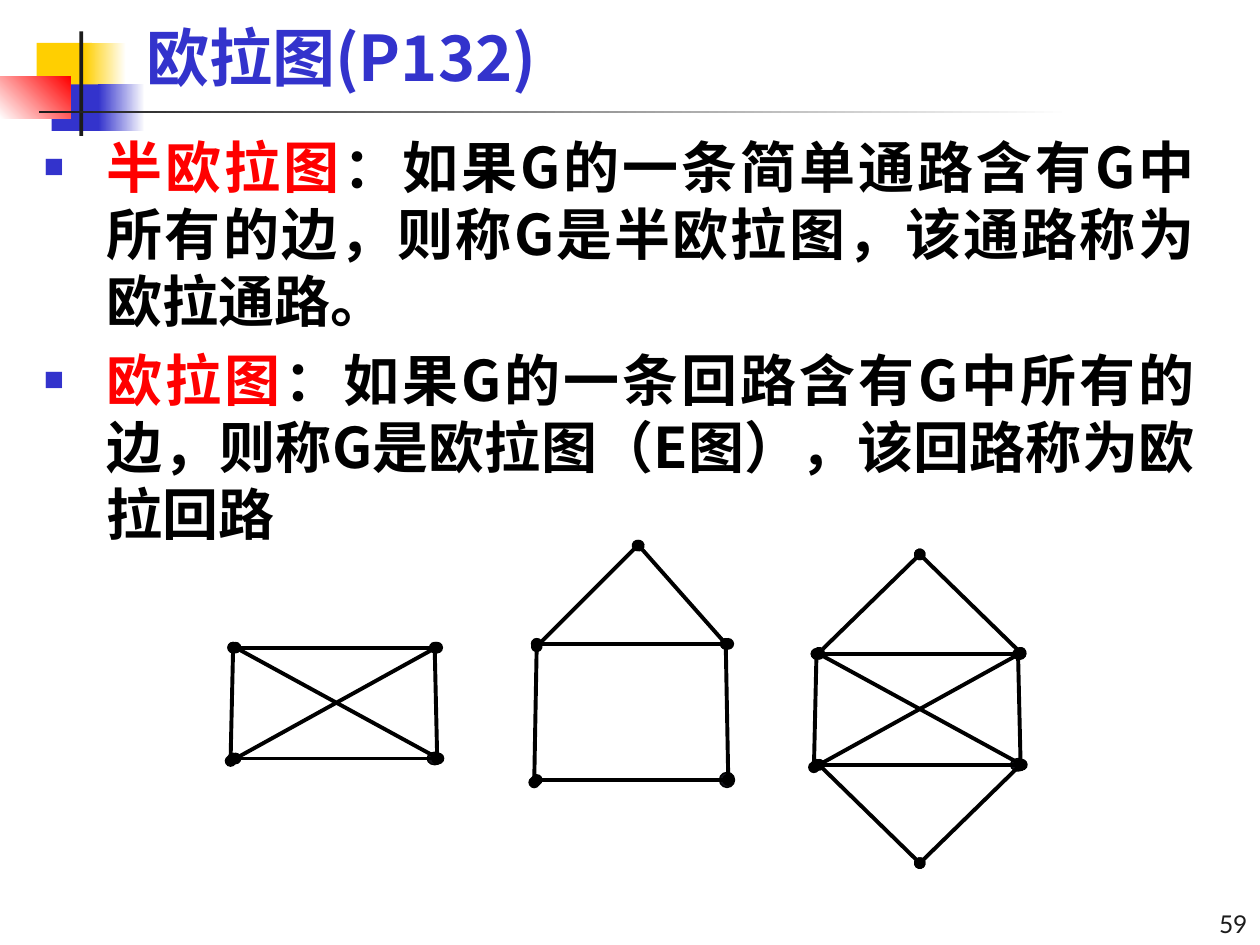
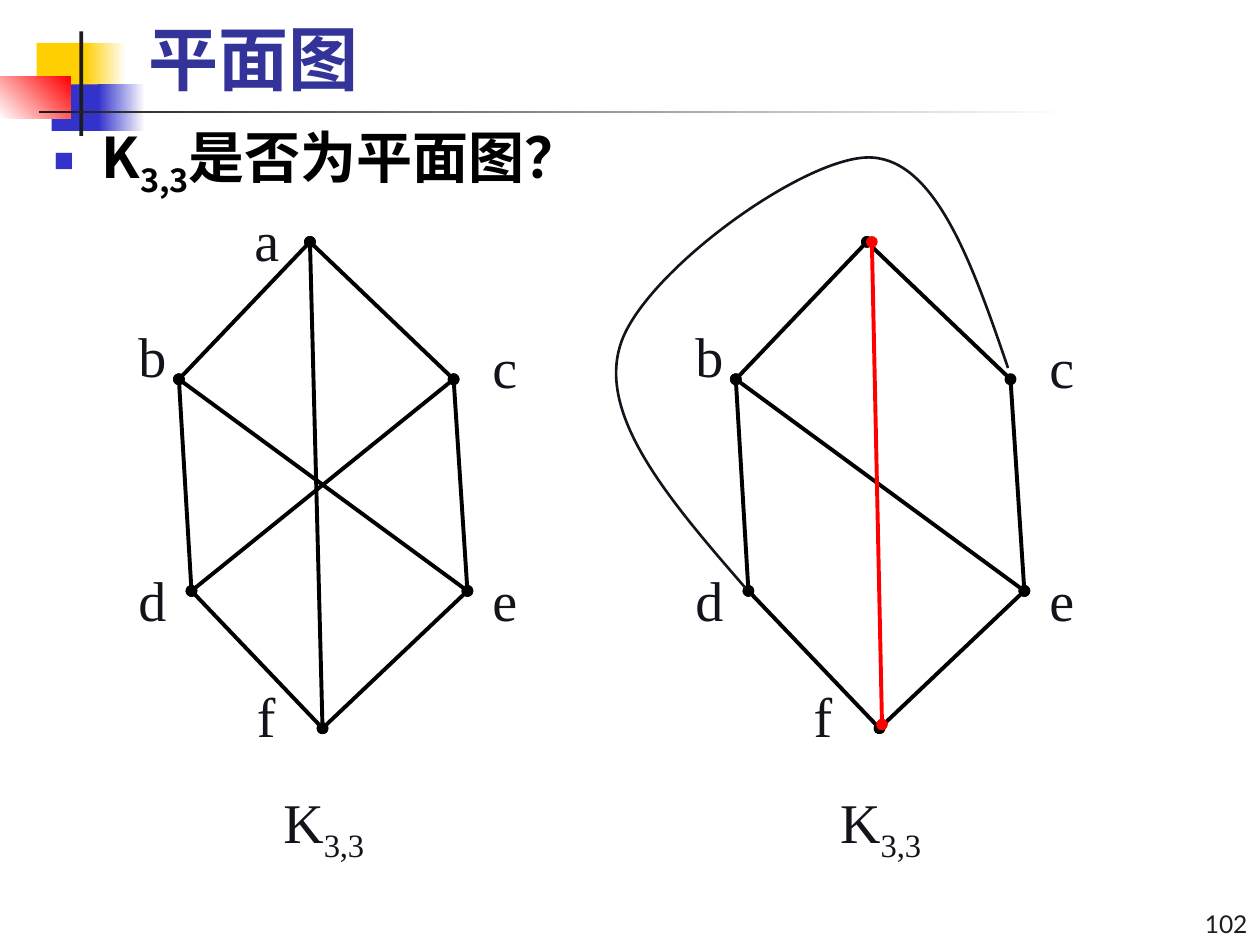
import dataclasses
import itertools
from typing import NamedTuple, Optional, Sequence

import lxml.etree
import pptx
import pptx.dml.color
import pptx.enum.lang
import pptx.enum.shapes
import pptx.enum.text
import pptx.oxml.ns
import pptx.shapes.base
import pptx.slide
import pptx.text.text
import pptx.util

qn = pptx.oxml.ns.qn
Align = pptx.enum.text.PP_ALIGN
Anchor = pptx.enum.text.MSO_ANCHOR
Fit = pptx.enum.text.MSO_AUTO_SIZE
Preset = pptx.enum.shapes.MSO_SHAPE


@dataclasses.dataclass(frozen=True)
class Theme:
    blue: str = "3333CC"
    navy: str = "333399"
    yellow: str = "FFCF01"
    red: str = "FF0000"
    white: str = "FFFFFF"
    black: str = "000000"
    charcoal: str = "1C1C1C"
    ink: str = "13131B"
    heading_font: str = "Noto Sans CJK SC"
    label_font: str = "Times New Roman"
    number_font: str = "Lato"
    text_size: float = 32
    number_size: float = 14
    edge_width: float = 2.25


THEME = Theme()

# The page is a grid of 100 columns and 75 rows
COLUMNS, ROWS = 100, 75
PAGE_WIDTH, PAGE_HEIGHT = pptx.util.Inches(10), pptx.util.Inches(7.5)


class Point(NamedTuple):
    column: float
    row: float

    def moved(self, columns: float, rows: float = 0) -> "Point":
        return Point(self.column + columns, self.row + rows)

    def emu(self) -> tuple[int, int]:
        return (round(self.column * PAGE_WIDTH / COLUMNS),
                round(self.row * PAGE_HEIGHT / ROWS))


class Area(NamedTuple):
    column: float
    row: float
    columns: float
    rows: float

    def emu(self) -> tuple[int, int, int, int]:
        return Point(*self[:2]).emu() + Point(*self[2:]).emu()

    def moved(self, columns: float) -> "Area":
        return self._replace(column=self.column + columns)


class Span(NamedTuple):
    text: str
    color: str
    size: float = THEME.text_size
    font: str = THEME.heading_font
    bold: bool = True
    subscript: bool = False


class Block(NamedTuple):
    area: Area
    color: str
    fade_to: Optional[str] = None
    angle: float = 0


class Edge(NamedTuple):
    start: Point
    end: Point


# Ornament behind every title
ORNAMENT = [
    Block(Area(2.9, 3.4, 4.4, 3.8), THEME.yellow),
    Block(Area(6.7, 3.4, 3.3, 3.8), THEME.yellow, THEME.white),
    Block(Area(4.1, 6.7, 4.2, 3.7), THEME.blue),
    Block(Area(7.8, 6.7, 3.7, 3.7), THEME.blue, THEME.white),
    Block(Area(0, 6.1, 5.6, 3.3), THEME.white, THEME.red, 45),
    Block(Area(6.3, 2.5, 0.3, 8.3), THEME.charcoal),
    Block(Area(3.1, 8.8, 81.9, 0.2), THEME.charcoal, THEME.white),
]
NUMBER_AREA = Area(86.7, 70.8, 13.3, 4.2)


def rgb(color: str) -> pptx.dml.color.RGBColor:
    return pptx.dml.color.RGBColor.from_string(color)


def add_spans(para: pptx.text.text._Paragraph, spans: Sequence[Span]) -> None:
    for item in spans:
        span = para.add_run()
        span.text = item.text
        span.font.size = pptx.util.Pt(item.size)
        span.font.bold = item.bold
        span.font.color.rgb = rgb(item.color)
        span.font.name = item.font
        properties = span._r.get_or_add_rPr()
        if item.font == THEME.heading_font:
            span.font.language_id = pptx.enum.lang.MSO_LANGUAGE_ID.SIMPLIFIED_CHINESE
            lxml.etree.SubElement(properties, qn("a:ea"), typeface=item.font)
        if item.subscript:
            properties.set("baseline", "-25000")


def add_bullet(para: pptx.text.text._Paragraph, indent: float) -> None:
    width = Point(indent, 0).emu()[0]
    properties = para._p.get_or_add_pPr()
    properties.set("marL", str(width))
    properties.set("indent", str(-width))
    color = lxml.etree.SubElement(properties, qn("a:buClr"))
    lxml.etree.SubElement(color, qn("a:srgbClr"), val=THEME.blue)
    lxml.etree.SubElement(properties, qn("a:buSzPct"), val="60000")
    lxml.etree.SubElement(properties, qn("a:buFont"), typeface=THEME.label_font)
    lxml.etree.SubElement(properties, qn("a:buChar"), char="■")


def add_text(page: pptx.slide.Slide, area: Area, paragraphs: Sequence[Sequence[Span]],
             align: Align = Align.LEFT, anchor: Anchor = Anchor.TOP,
             bullet_indent: Optional[float] = None) -> None:
    box = page.shapes.add_textbox(*area.emu())
    frame = box.text_frame
    frame.word_wrap = True
    frame.vertical_anchor = anchor
    frame.auto_size = Fit.SHAPE_TO_FIT_TEXT if anchor == Anchor.TOP else Fit.NONE
    for index, spans in enumerate(paragraphs):
        para = frame.add_paragraph() if index else frame.paragraphs[0]
        para.alignment = align
        if index:
            para.space_before = pptx.util.Pt(0.2 * THEME.text_size)
        if bullet_indent is not None:
            add_bullet(para, bullet_indent)
        add_spans(para, spans)


def add_block(page: pptx.slide.Slide, block: Block) -> None:
    shape = page.shapes.add_shape(Preset.RECTANGLE, *block.area.emu())
    shape.shadow.inherit = False
    shape.line.fill.background()
    if block.fade_to is None:
        shape.fill.solid()
        shape.fill.fore_color.rgb = rgb(block.color)
        return
    shape.fill.gradient()
    shape.fill.gradient_angle = block.angle
    for stop, color in zip(shape.fill.gradient_stops, (block.color, block.fade_to)):
        stop.color.rgb = rgb(color)


def add_edge(page: pptx.slide.Slide, edge: Edge, color: str = THEME.black) -> None:
    line = page.shapes.add_connector(pptx.enum.shapes.MSO_CONNECTOR.STRAIGHT,
                                     *edge.start.emu(), *edge.end.emu())
    line.line.color.rgb = rgb(color)
    line.line.width = pptx.util.Pt(THEME.edge_width)
    outline = line.line._get_or_add_ln()
    for tip in ("a:headEnd", "a:tailEnd"):
        lxml.etree.SubElement(outline, qn(tip), type="oval")
    lxml.etree.SubElement(line._element.spPr, qn("a:effectLst"))


def add_dot(page: pptx.slide.Slide, area: Area) -> None:
    dot = page.shapes.add_shape(Preset.OVAL, *area.emu())
    dot.shadow.inherit = False
    dot.fill.solid()
    dot.fill.fore_color.rgb = rgb(THEME.ink)
    dot.line.color.rgb = rgb(THEME.black)
    dot.line.width = pptx.util.Pt(0.75)


def add_curve(page: pptx.slide.Slide, points: Sequence[Point]) -> None:
    """Draw cubic curves: a start, then two controls and an end for each."""
    start, *others = [point.emu() for point in points]
    builder = page.shapes.build_freeform(*start)
    builder.add_line_segments(others, close=False)
    curve = builder.convert_to_shape()
    curve.shadow.inherit = False
    curve.fill.background()
    curve.line.color.rgb = rgb(THEME.ink)
    curve.line.width = pptx.util.Pt(1.5)
    # Join every three straight segments into one cubic segment
    segments = list(curve._element.iter(qn("a:lnTo")))
    for first in range(0, len(segments), 3):
        cubic, *controls = segments[first:first + 3]
        cubic.tag = qn("a:cubicBezTo")
        for control in controls:
            cubic.append(control[0])
            control.getparent().remove(control)


def add_page(deck: pptx.presentation.Presentation, title: Span, area: Area,
             number: str) -> pptx.slide.Slide:
    page = deck.slides.add_slide(deck.slide_layouts.get_by_name("Title Only"))
    for block in ORNAMENT:
        add_block(page, block)
    add_text(page, NUMBER_AREA,
             [[Span(number, THEME.charcoal, THEME.number_size, THEME.number_font, False)]],
             Align.RIGHT, Anchor.BOTTOM)
    holder = page.shapes.title
    holder.left, holder.top, holder.width, holder.height = area.emu()
    frame = holder.text_frame
    frame.word_wrap = True
    frame.auto_size = Fit.NONE
    frame.vertical_anchor = Anchor.BOTTOM
    frame.paragraphs[0].alignment = Align.LEFT
    add_spans(frame.paragraphs[0], [title])
    return page


# Euler graphs: a crossed box, a house, and a crossed box with two roofs
CROSSED_BOX = [
    Edge(Point(18.3, 60.4), Point(18.5, 51.4)),
    Edge(Point(34.7, 60.2), Point(34.5, 51.4)),
    Edge(Point(34.7, 60.2), Point(18.5, 60.2)),
    Edge(Point(18.7, 60.2), Point(34.6, 51.4)),
    Edge(Point(34.8, 60.2), Point(18.7, 51.4)),
    Edge(Point(34.7, 51.4), Point(18.5, 51.4)),
]
BOX_DOT = Area(33.9, 59.7, 1.2, 1)
HOUSE = [
    Edge(Point(42.4, 62.1), Point(42.6, 51.1)),
    Edge(Point(57.8, 61.9), Point(57.6, 51.1)),
    Edge(Point(57.8, 61.9), Point(42.6, 61.9)),
    Edge(Point(42.6, 51.3), Point(50.6, 43.3)),
    Edge(Point(57.6, 51.1), Point(50.7, 43.3)),
    Edge(Point(57.8, 51.1), Point(42.6, 51.1)),
]
HOUSE_DOT = Area(57.1, 61.3, 1.2, 1.2)
SECOND_BOX_SHIFT = (46.3, 0.5)
ROOFS = [Edge(Point(side, eaves), Point(73, peak))
         for (eaves, peak), side in itertools.product([(51.8, 44), (60.7, 68.5)], [65, 81])]


def build_euler_page(deck: pptx.presentation.Presentation) -> None:
    page = add_page(deck, Span("欧拉图(P132)", THEME.blue, 36),
                    Area(10.6, 1.3, 84.2, 6.7), "59")
    second_box = [Edge(*(point.moved(*SECOND_BOX_SHIFT) for point in edge))
                  for edge in CROSSED_BOX]
    for dot in (BOX_DOT, HOUSE_DOT, Area(80.2, 60.2, 1.2, 1)):
        add_dot(page, dot)
    for edge in CROSSED_BOX + HOUSE + second_box + ROOFS:
        add_edge(page, edge)
    definitions = [
        ("半欧拉图", "：如果G的一条简单通路含有G中所有的边，则称G是半欧拉图，该通路称为欧拉通路。"),
        ("欧拉图", "：如果G的一条回路含有G中所有的边，则称G是欧拉图（E图），该回路称为欧拉回路"),
    ]
    add_text(page, Area(2.5, 10, 93.3, 34),
             [[Span(term, THEME.red), Span(meaning, THEME.black)]
              for term, meaning in definitions],
             Align.JUSTIFY, bullet_indent=5)


# The graph K3,3: vertices, edges by vertex names, and label boxes
VERTICES = {"a": Point(24.6, 19.2), "b": Point(14.2, 30.1), "c": Point(36, 30.1),
            "d": Point(15.2, 46.9), "e": Point(37.1, 46.9), "f": Point(25.6, 57.8)}
OUTER_EDGES = "ac ab be bd ce df fe".split()
LABELS = {"a": Area(19.2, 15.8, 4.2, 6.3), "b": Area(10, 25, 5.2, 6.3),
          "c": Area(38.1, 25.9, 5.2, 6.3), "d": Area(10, 44.4, 5.2, 6.3),
          "e": Area(38.1, 44.4, 5.2, 6.3), "f": Area(19.4, 53.6, 5.2, 6.3)}
CAPTION_AREA = Area(21.5, 62, 11.5, 6.3)
REDRAWN_SHIFT = 44.2
DETOUR = [Point(80, 29.2), Point(77.2, 21), Point(74.3, 12.8), Point(69.2, 12.5),
          Point(64, 12.2), Point(50.8, 21.8), Point(49.2, 27.5),
          Point(47.5, 33.2), Point(53.3, 39.9), Point(59.2, 46.7)]


def add_k33(page: pptx.slide.Slide, edges: Sequence[str], labels: str, shift: float) -> None:
    for start, end in edges:
        add_edge(page, Edge(VERTICES[start].moved(shift), VERTICES[end].moved(shift)))
    label = Span("K", THEME.ink, font=THEME.label_font, bold=False)
    for name in labels:
        add_text(page, LABELS[name].moved(shift), [[label._replace(text=name)]])
    add_text(page, CAPTION_AREA.moved(shift),
             [[label, label._replace(text="3,3", subscript=True)]])


def build_planar_page(deck: pptx.presentation.Presentation) -> None:
    page = add_page(deck, Span("平面图", THEME.navy, 40),
                    Area(10.8, 1.7, 84.2, 6.7), "102")
    add_k33(page, OUTER_EDGES + ["dc", "af"], "abcdef", 0)
    add_k33(page, OUTER_EDGES, "bcdef", REDRAWN_SHIFT)
    add_curve(page, DETOUR)
    add_edge(page, Edge(Point(69.2, 19.2), Point(70, 57.5)), THEME.red)
    add_text(page, Area(3.3, 9.2, 93.3, 6.3),
             [[Span("K", THEME.black), Span("3,3", THEME.black, subscript=True),
               Span("是否为平面图？", THEME.black)]],
             Align.JUSTIFY, bullet_indent=3.8)


def main() -> None:
    deck = pptx.Presentation()
    deck.slide_width, deck.slide_height = PAGE_WIDTH, PAGE_HEIGHT
    build_euler_page(deck)
    build_planar_page(deck)
    deck.save("out.pptx")


if __name__ == "__main__":
    main()
